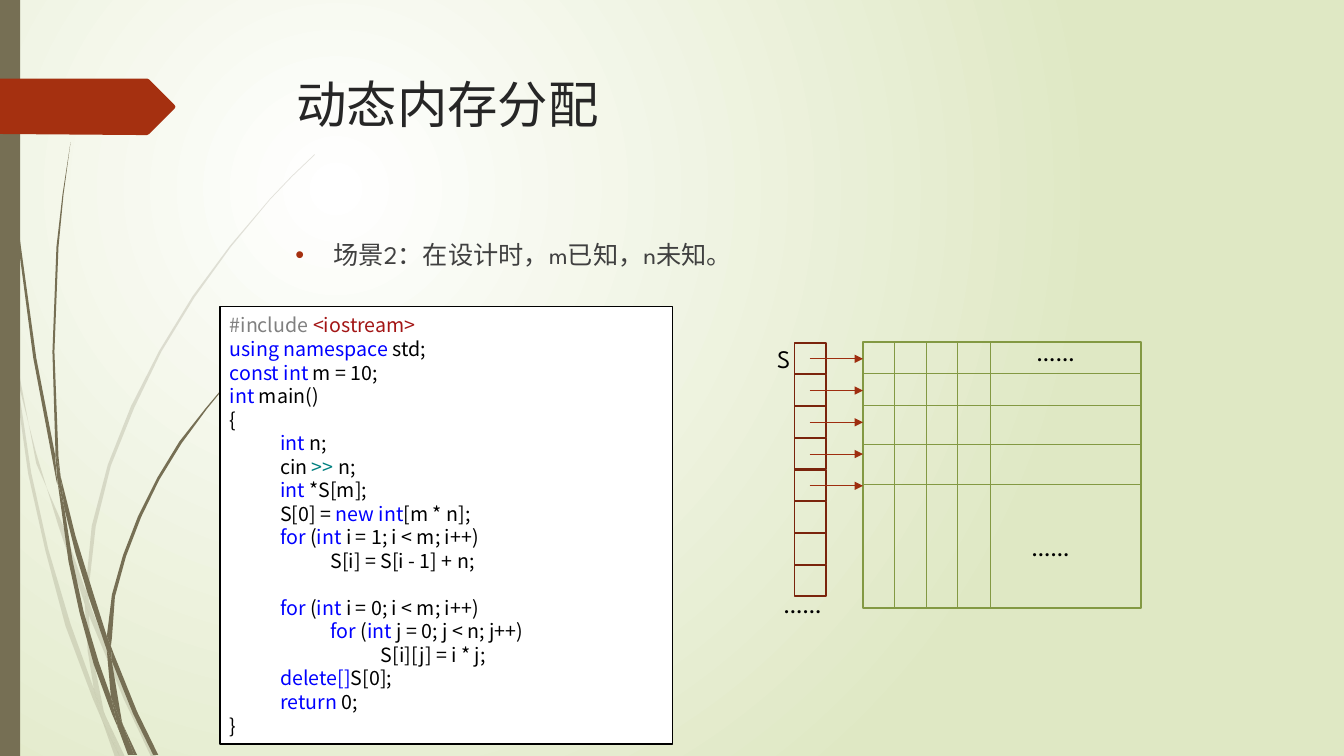
from pptx import Presentation
from pptx.dml.color import RGBColor
from pptx.enum.shapes import MSO_CONNECTOR, MSO_SHAPE
from pptx.enum.text import MSO_ANCHOR, PP_ALIGN
from pptx.oxml import parse_xml
from pptx.oxml.ns import nsdecls, qn
from pptx.util import Inches, Pt
from lxml import etree

RECT = MSO_SHAPE.RECTANGLE
STRAIGHT = MSO_CONNECTOR.STRAIGHT
TOP, MIDDLE, LEFT = MSO_ANCHOR.TOP, MSO_ANCHOR.MIDDLE, PP_ALIGN.LEFT

BROWN, RED, GREEN, CELL, ARROW = "766F54", "A53010", "839943", "7A240C", "9E2E0F"
BLACK, BLUE, GRAY, STRING, TEAL = "000000", "0000FF", "808080", "A31515", "008080"

PALE_STALKS = [
    [(.11, 3.5), (.09, 3.22), (0, 2.82), (0, 2.99), (.1, 3.44)],
    [(.58, 5.22), (.84, 5.99), (.85, 5.86), (.62, 5.2), (.36, 4.6), (.14, 3.45), (.17, 3.76), (.36, 4.5)],
    [(.92, 6.07), (.88, 5.96), (.88, 6.1), (1.23, 6.94), (1.5, 7.51), (1.55, 7.51), (1.27, 6.92)],
    [(1.19, 7.51), (1.24, 7.51), (1.05, 7.11)],
    [(.93, 6.83), (.7, 6.19), (.48, 5.45), (.31, 4.69), (.17, 3.76), (.11, 3.5), (.28, 4.7), (.45, 5.46),
     (.65, 6.21), (.92, 6.93), (1.01, 7.14), (.99, 7.07)],
    [(.84, 5.99), (.87, 6.46), (.93, 6.83), (.96, 6.92), (1.05, 7.11), (1.03, 7.06), (.91, 6.46),
     (.88, 6.1), (.88, 6.08)],
    [(.88, 5.84), (.95, 5.22), (1.1, 4.62), (1.33, 4.05), (1.6, 3.49), (1.93, 2.95), (2.29, 2.45),
     (2.68, 1.98), (2.9, 1.75), (3.12, 1.54), (3.12, 1.53), (2.89, 1.75), (2.68, 1.97), (2.28, 2.44),
     (1.91, 2.94), (1.58, 3.48), (1.3, 4.03), (1.07, 4.61), (.91, 5.22), (.85, 5.84), (.85, 5.86), (.88, 5.96)],
    [(1.01, 7.14), (1.14, 7.51), (1.19, 7.51)],
    [(.88, 6.08), (.88, 6.1), (.88, 5.96), (.85, 5.86), (.84, 5.99)],
    [(.96, 6.92), (.93, 6.83), (.99, 7.07), (1.01, 7.14), (1.19, 7.51), (1.05, 7.11)],
]
DARK_STALKS = [
    [(.07, 1.1), (.17, 2.33), (.33, 3.55), (.56, 4.77), (.57, 4.81), (.55, 4.57), (.55, 4.53),
     (.36, 3.55), (.19, 2.32), (.08, 1.09), (.05, .48), (.04, 0), (.03, 0), (.04, .48)],
    [(.88, 5.92), (1.06, 6.45), (1.06, 6.33), (1.06, 6.31), (.93, 5.9), (.75, 5.32), (.6, 4.72),
     (.64, 5.05), (.75, 5.49)],
    [(1.13, 6.49), (1.1, 6.41), (1.11, 6.56), (1.32, 7.08), (1.52, 7.49), (1.57, 7.49), (1.36, 7.06)],
    [(1.1, 6.91), (.98, 6.57), (.83, 6.07), (.72, 5.56), (.64, 5.05), (.57, 4.77), (.68, 5.57),
     (.79, 6.08), (.93, 6.59), (1.11, 7.08), (1.17, 7.22), (1.16, 7.17)],
    [(.6, 4.72), (.58, 4.53), (.54, 3.49), (.58, 2.45), (.63, 1.93), (.7, 1.41), (.62, 1.93),
     (.56, 2.45), (.52, 3.49), (.55, 4.49)],
    [(1.33, 7.49), (1.36, 7.49), (1.22, 7.19)],
    [(.57, 4.77), (.64, 5.05), (.6, 4.72), (.55, 4.49), (.55, 4.53)],
    [(1.11, 6.33), (1.14, 5.92), (1.25, 5.52), (1.4, 5.13), (1.58, 4.76), (1.8, 4.4), (2.05, 4.06),
     (2.31, 3.74), (2.45, 3.59), (2.61, 3.44), (2.6, 3.44), (2.45, 3.58), (2.31, 3.73), (2.04, 4.05),
     (1.78, 4.38), (1.56, 4.74), (1.37, 5.12), (1.22, 5.51), (1.11, 5.9), (1.06, 6.31), (1.1, 6.41)],
    [(1.17, 7.22), (1.27, 7.49), (1.31, 7.49)],
    [(1.06, 6.45), (1.1, 6.91), (1.16, 7.06), (1.22, 7.19), (1.21, 7.16), (1.11, 6.56), (1.09, 6.51)],
    [(1.06, 6.45), (1.09, 6.51), (1.11, 6.56), (1.1, 6.41), (1.06, 6.31), (1.06, 6.33)],
    [(1.16, 7.06), (1.1, 6.91), (1.16, 7.17), (1.17, 7.22), (1.3, 7.49), (1.33, 7.49), (1.22, 7.19)],
]
BANNER = [(1.74, 1.06), (1.73, 1.08), (1.48, 1.33), (1.46, 1.34), (1.36, 1.34), (0, 1.33), (0, .78),
          (1.46, .78), (1.48, .79), (1.73, 1.04)]

CODE = [
    (0, [("#include ", GRAY), ("<iostream>", STRING)]),
    (0, [("using namespace ", BLUE), ("std;", BLACK)]),
    (0, [("const int", BLUE), (" m = 10;", BLACK)]),
    (0, [("int", BLUE), (" main()", BLACK)]),
    (0, [("{", BLACK)]),
    (1, [("int", BLUE), (" n;", BLACK)]),
    (1, [("cin ", BLACK), (">>", TEAL), (" n;", BLACK)]),
    (1, [("int", BLUE), (" *S[m];", BLACK)]),
    (1, [("S[0] = ", BLACK), ("new int", BLUE), ("[m * n];", BLACK)]),
    (1, [("for", BLUE), (" (", BLACK), ("int", BLUE), (" i = 1; i < m; i++)", BLACK)]),
    (2, [("S[i] = S[i - 1] + n;", BLACK)]),
    (1, [("for", BLUE), (" (", BLACK), ("int", BLUE), (" i = 0; i < m; i++)", BLACK)]),
    (2, [("for", BLUE), (" (", BLACK), ("int", BLUE), (" j = 0; j < n; j++)", BLACK)]),
    (3, [("S[i][j] = i * j;", BLACK)]),
    (1, [("delete[]", BLUE), ("S[0];", BLACK)]),
    (1, [("return", BLUE), (" 0;", BLACK)]),
    (0, [("}", BLACK)]),
]
LOOP_AFTER_GAP = 11


def rgb(value):
    return RGBColor.from_string(value)


def apply(target, **values):
    for name, value in values.items():
        setattr(target, name, value)


class SlideBuilder:
    font = "League Spartan"
    code_font = "Noto Sans CJK SC"
    code_pitch = Pt(16.8)

    def __init__(self, prs):
        self.s = prs.slides.add_slide(prs.slide_layouts[6])

    def background(self, inner, outer):
        self.s._element.cSld.insert(0, parse_xml(
            f'<p:bg {nsdecls("p", "a")}><p:bgPr><a:gradFill rotWithShape="1"><a:gsLst>'
            f'<a:gs pos="0"><a:srgbClr val="{inner}"/></a:gs>'
            f'<a:gs pos="100000"><a:srgbClr val="{outer}"/></a:gs></a:gsLst>'
            '<a:path path="circle"><a:fillToRect l="50000" t="50000" r="100000" b="100000"/></a:path>'
            '</a:gradFill><a:effectLst/></p:bgPr></p:bg>'))

    def paint(self, sp, fill=None, line=None, width=1.25):
        sp.shadow.inherit = False
        for part, color in ((sp.fill, fill), (sp.line.fill, line)):
            if color:
                part.solid()
                part.fore_color.rgb = rgb(color)
            else:
                part.background()
        if line:
            sp.line.width = Pt(width)
        return sp

    def rect(self, x, y, w, h, **style):
        sp = self.s.shapes.add_shape(RECT, Inches(x), Inches(y), Inches(w), Inches(h))
        return self.paint(sp, **style)

    def outline(self, points, color, alpha=None):
        grid = [(x * 100, y * 100) for x, y in points]
        builder = self.s.shapes.build_freeform(*grid[0], scale=Inches(.01))
        builder.add_line_segments(grid[1:], close=True)
        sp = self.paint(builder.convert_to_shape(), fill=color)
        if alpha:
            clr = sp._element.spPr.find(qn("a:solidFill"))[0]
            etree.SubElement(clr, qn("a:alpha")).set("val", str(alpha * 1000))

    def line(self, x1, y1, x2, y2, color, arrow=False):
        cx = self.s.shapes.add_connector(STRAIGHT, Inches(x1), Inches(y1), Inches(x2), Inches(y2))
        apply(cx.line, width=Pt(.75))
        cx.line.color.rgb = rgb(color)
        if arrow:
            etree.SubElement(cx.line._get_or_add_ln(), qn("a:tailEnd")).set("type", "triangle")
        etree.SubElement(cx._element.spPr, qn("a:effectLst"))

    def run(self, p, text, size, color, font):
        r = p.add_run()
        r.text = text
        apply(r.font, size=Pt(size), name=font)
        r.font.color.rgb = rgb(color)

    def text(self, x, y, w, h, text, size=18, color=BLACK, wrap=False):
        sp = self.s.shapes.add_textbox(Inches(x), Inches(y), Inches(w), Inches(h))
        apply(sp.text_frame, word_wrap=wrap, vertical_anchor=TOP)
        p = sp.text_frame.paragraphs[0]
        self.run(p, text, size, color, self.font)
        return p

    def bullet(self, p, color):
        pPr = p._p.get_or_add_pPr()
        pPr.set("marL", str(Inches(.38)))
        pPr.set("indent", str(-Inches(.38)))
        clr = etree.SubElement(pPr, qn("a:buClr"))
        etree.SubElement(clr, qn("a:srgbClr")).set("val", color)
        etree.SubElement(pPr, qn("a:buFont")).set("typeface", "Arial")
        etree.SubElement(pPr, qn("a:buChar")).set("char", "•")

    def code(self, sp, lines):
        tf = sp.text_frame
        apply(tf, word_wrap=True, vertical_anchor=MIDDLE)
        for i, (level, runs) in enumerate(lines):
            p = tf.add_paragraph() if i else tf.paragraphs[0]
            apply(p, alignment=LEFT, line_spacing=self.code_pitch)
            p._p.get_or_add_pPr().set("marL", str(Inches(.5 * level)))
            if i == LOOP_AFTER_GAP:
                p.space_before = self.code_pitch
            for text, color in runs:
                self.run(p, text, 14, color, self.code_font)


def main():
    prs = Presentation()
    apply(prs, slide_width=Inches(13.33), slide_height=Inches(7.5))
    b = SlideBuilder(prs)
    b.background("FFFFFF", "DFE8C4")
    for stalks, alpha in ((PALE_STALKS, 20), (DARK_STALKS, None)):
        for stalk in stalks:
            b.outline(stalk, BROWN, alpha)
    b.rect(0, 0, .2, 7.5, fill=BROWN)
    b.outline(BANNER, RED)
    b.text(2.84, .68, 9.75, 1.4, "动态内存分配", 36, "262626", True)
    b.bullet(b.text(2.83, 2.33, 9.75, 4.13, "场景2：在设计时，m已知，n未知。", 18, "404040", True), RED)
    b.code(b.rect(2.18, 3.04, 4.49, 4.34, fill="FFFFFF", line=BLACK), CODE)

    b.rect(8.56, 3.39, 2.76, 2.64, line=GREEN)
    for y in (3.71, 4.02, 4.41, 4.81):
        b.line(8.56, y, 11.31, y, GREEN)
    for x in (8.87, 9.19, 9.5, 9.82):
        b.line(x, 3.39, x, 6.03, GREEN)
    for i in range(8):
        b.rect(7.88, 3.4 + i * .315, .31, .31, line=CELL)
    b.text(7.61, 3.36, .33, .4, "S")
    for x, y in ((10.18, 3.29), (10.13, 5.22), (7.67, 5.79)):
        b.text(x, y, .71, .4, "……")
    for i in range(5):
        y = 3.56 + i * .315
        b.line(8.03, y, 8.56, y, ARROW, arrow=True)
    prs.save("out.pptx")


if __name__ == "__main__":
    main()
